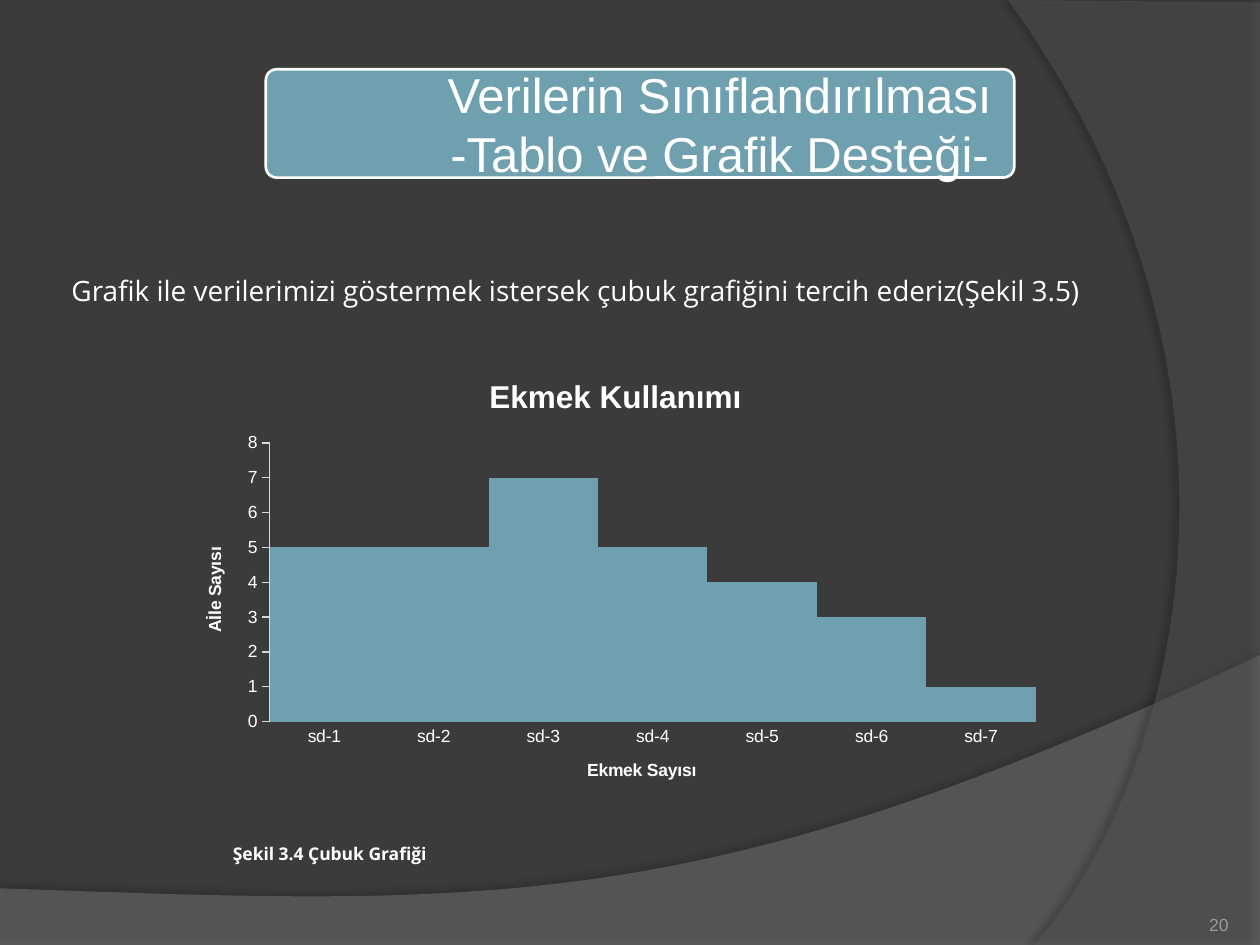
"""Build the bread-consumption bar chart slide."""
import dataclasses
import typing

import lxml.etree
import pptx
import pptx.chart.data
import pptx.dml.color
import pptx.enum.chart
import pptx.enum.shapes
import pptx.enum.text
import pptx.oxml.ns
import pptx.util

Pt = pptx.util.Pt
qn = pptx.oxml.ns.qn
Align = pptx.enum.text.PP_ALIGN
Anchor = pptx.enum.text.MSO_ANCHOR
Point = tuple[float, float]


@dataclasses.dataclass(frozen=True)
class Theme:
    background: str = "3B3B3B"
    accent: str = "6EA0B0"
    text: str = "FFFFFF"
    muted: str = "9D9B9A"
    axis: str = "D9D9D9"
    heading: str = "Arial"
    body: str = "Open Sans"
    title_size: float = 28
    chart_title_size: float = 18
    body_size: float = 16
    small_size: float = 10


THEME = Theme()


@dataclasses.dataclass(frozen=True)
class Label:
    box: tuple[float, float, float, float]
    lines: tuple[str, ...]
    size: float
    font: str
    color: str = THEME.text
    bold: bool = False
    align: Align = Align.LEFT
    anchor: Anchor = Anchor.MIDDLE
    insets: Point = (7.2, 3.6)
    wrap: bool = True


@dataclasses.dataclass(frozen=True)
class Wave:
    outline: list[Point]
    color: str
    opacity: int
    shadow_opacity: int
    shadow_distance: float
    shadow_angle: int


def bezier(a: Point, b: Point, c: Point, d: Point, steps: int = 48) -> list[Point]:
    def at(t: float) -> Point:
        u = 1 - t
        weights = (u**3, 3 * u * u * t, 3 * u * t * t, t**3)
        return tuple(sum(w * p[i] for w, p in zip(weights, (a, b, c, d))) for i in (0, 1))

    return [at(n / steps) for n in range(steps + 1)]


WAVES = (
    Wave([(0, 540), (720, 540), *bezier((720, 374.4), (402.5, 524.9), (281.5, 517.7), (0, 507.6))],
         "7F7F7F", 45, 35, 3.5, 270),
    Wave([(720, 1.4), (720, 540), *bezier((591.1, 540), (673.2, 445.7), (733, 216), (576, 0))],
         "5E5E5E", 40, 45, 4, 180),
)
LABELS = (
    Label((642.2, 505.4, 59.8, 28.8), ("20",), THEME.small_size, THEME.heading,
          THEME.muted, align=Align.RIGHT, anchor=Anchor.BOTTOM, insets=(0, 0)),
    Label((243.4, 39.6, 335.5, 61.9), ("Verilerin Sınıflandırılması", "-Tablo ve Grafik Desteği-"),
          THEME.title_size, THEME.heading, align=Align.CENTER, insets=(8.6, 8.6)),
    Label((33.8, 152, 660.2, 28),
          ("Grafik ile verilerimizi göstermek istersek çubuk grafiğini tercih ederiz(Şekil 3.5)",),
          THEME.body_size, THEME.body, wrap=False),
    Label((126, 478.1, 144, 19.4), ("Şekil 3.4 Çubuk Grafiği",), THEME.small_size,
          THEME.body, bold=True, wrap=False),
)


def rgb(value: str) -> pptx.dml.color.RGBColor:
    return pptx.dml.color.RGBColor.from_string(value)


def style_font(font: typing.Any, size: float, name: str, color: str, bold: bool) -> None:
    font.size, font.name, font.bold = Pt(size), name, bold
    font.color.rgb = rgb(color)


def set_opacity(color: typing.Any, percent: int) -> None:
    lxml.etree.SubElement(color, qn("a:alpha"), val=str(percent * 1000))


def add_wave(s: typing.Any, wave: Wave) -> None:
    start, *rest = [(Pt(x), Pt(y)) for x, y in wave.outline]
    builder = s.shapes.build_freeform(*start)
    builder.add_line_segments(rest, close=True)
    sp = builder.convert_to_shape()
    sp.fill.solid()
    sp.fill.fore_color.rgb = rgb(wave.color)
    sp.line.fill.background()
    sp.shadow.inherit = False
    props = sp._element.spPr
    set_opacity(props.find(f"{qn('a:solidFill')}/{qn('a:srgbClr')}"), wave.opacity)
    shadow = lxml.etree.SubElement(
        props.find(qn("a:effectLst")), qn("a:outerShdw"), blurRad=str(Pt(4)),
        dist=str(Pt(wave.shadow_distance)), dir=str(wave.shadow_angle * 60000))
    set_opacity(lxml.etree.SubElement(shadow, qn("a:srgbClr"), val="000000"), wave.shadow_opacity)


def add_banner(s: typing.Any) -> None:
    sp = s.shapes.add_shape(pptx.enum.shapes.MSO_SHAPE.ROUNDED_RECTANGLE,
                            Pt(151.9), Pt(39.6), Pt(427.7), Pt(61.9))
    sp.adjustments[0] = 0.1
    sp.shadow.inherit = False
    sp.fill.solid()
    sp.fill.fore_color.rgb = rgb(THEME.accent)
    sp.line.color.rgb = rgb(THEME.text)
    sp.line.width = Pt(1.5)


def add_label(s: typing.Any, label: Label) -> None:
    tf = s.shapes.add_textbox(*map(Pt, label.box)).text_frame
    tf.word_wrap, tf.vertical_anchor = label.wrap, label.anchor
    tf.margin_left = tf.margin_right = Pt(label.insets[0])
    tf.margin_top = tf.margin_bottom = Pt(label.insets[1])
    tf.text = "\n".join(label.lines)
    for p in tf.paragraphs:
        p.alignment = label.align
        style_font(p.font, label.size, label.font, label.color, label.bold)


def set_title(owner: typing.Any, text: str, size: float) -> None:
    tf = owner.text_frame
    tf.text = text
    style_font(tf.paragraphs[0].font, size, THEME.heading, THEME.text, True)


def add_bread_chart(s: typing.Any) -> None:
    data = pptx.chart.data.CategoryChartData()
    data.categories = [f"sd-{n}" for n in range(1, 8)]
    data.add_series("Series 1", (5, 5, 7, 5, 4, 3, 1))
    chart = s.shapes.add_chart(pptx.enum.chart.XL_CHART_TYPE.COLUMN_CLUSTERED,
                               Pt(101.5), Pt(202.3), Pt(500.4), Pt(258.5), data).chart
    style_font(chart.font, THEME.small_size, THEME.heading, THEME.text, False)
    chart.has_legend = False
    chart.has_title = True
    set_title(chart.chart_title, "Ekmek Kullanımı", THEME.chart_title_size)
    plot = chart.plots[0]
    plot.gap_width, plot.vary_by_categories = 0, False
    fill = plot.series[0].format.fill
    fill.solid()
    fill.fore_color.rgb = rgb(THEME.accent)
    tick = pptx.enum.chart.XL_TICK_MARK
    for axis, text, mark in ((chart.category_axis, "Ekmek Sayısı", tick.NONE),
                             (chart.value_axis, "Aİle Sayısı", tick.OUTSIDE)):
        axis.has_major_gridlines = False
        axis.major_tick_mark, axis.minor_tick_mark = mark, tick.NONE
        axis.format.line.color.rgb = rgb(THEME.axis)
        axis.format.line.width = Pt(0.75)
        set_title(axis.axis_title, text, THEME.small_size)
    chart.value_axis.minimum_scale, chart.value_axis.maximum_scale = 0, 8
    chart.value_axis.major_unit = 1


def main() -> None:
    prs = pptx.Presentation()
    prs.slide_width, prs.slide_height = Pt(720), Pt(540)
    s = prs.slides.add_slide(prs.slide_layouts[6])
    s.background.fill.solid()
    s.background.fill.fore_color.rgb = rgb(THEME.background)
    for wave in WAVES:
        add_wave(s, wave)
    add_banner(s)
    for label in LABELS:
        add_label(s, label)
    add_bread_chart(s)
    prs.save("out.pptx")


if __name__ == "__main__":
    main()
